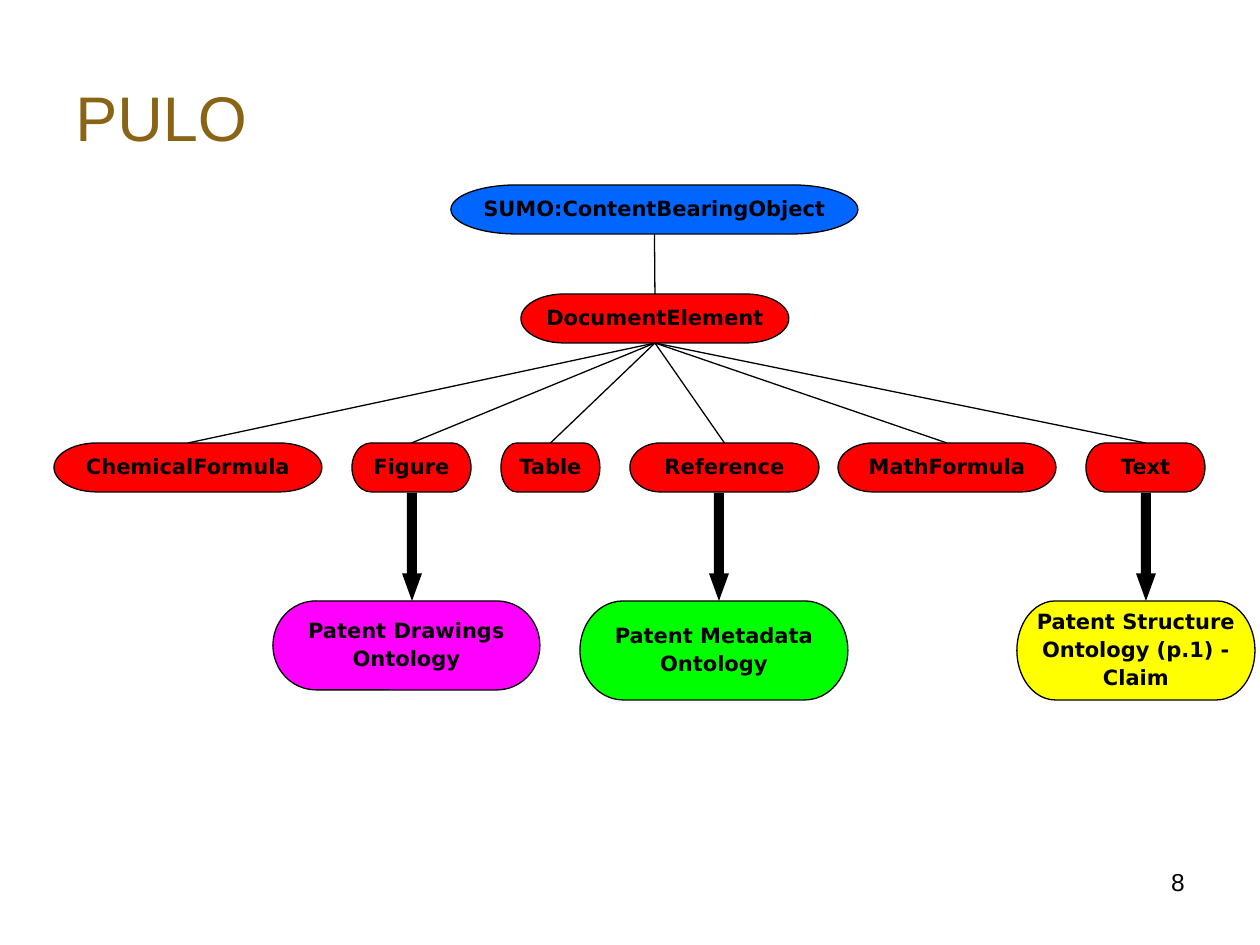
"""Build the PULO ontology slide: a class tree with links to sub-ontologies."""
from dataclasses import dataclass

from lxml import etree
from pptx import Presentation
from pptx import util as u
from pptx.dml.color import RGBColor
from pptx.enum import shapes, text
from pptx.oxml.ns import qn

PX = u.Inches(1) // 126
BLACK, RED = "000000", "FF0000"
ROW_TOP, NODE_HEIGHT = 443, 49
ARROW_TOP, ARROW_WIDTH, ARROW_HEIGHT = 493, 20, 108
ONTOLOGY_TOP = 601


@dataclass(frozen=True)
class Node:
    lines: tuple[str, ...]
    left: int
    top: int
    width: int
    height: int = NODE_HEIGHT
    fill: str = RED


def px(*lengths: int) -> list[int]:
    return [length * PX for length in lengths]


def colour(value: str) -> RGBColor:
    return RGBColor.from_string(value)


def add_run(paragraph, words: str, size: int, font: str, ink: str, bold: bool = False) -> None:
    run = paragraph.add_run()
    run.text = words
    run.font.size = u.Pt(size)
    run.font.name = font
    run.font.bold = bold
    run.font.color.rgb = colour(ink)


def add_label(slide, words: str, box: tuple[int, ...], size: int, ink: str, align, anchor) -> None:
    frame = slide.shapes.add_textbox(*px(*box)).text_frame
    frame.word_wrap = True
    frame.vertical_anchor = anchor
    frame.paragraphs[0].alignment = align
    add_run(frame.paragraphs[0], words, size, "Arial", ink)


def add_node(slide, node: Node):
    terminator = slide.shapes.add_shape(
        shapes.MSO_SHAPE.FLOWCHART_TERMINATOR,
        *px(node.left, node.top, node.width, node.height))
    terminator.shadow.inherit = False
    terminator.fill.solid()
    terminator.fill.fore_color.rgb = colour(node.fill)
    terminator.line.color.rgb = colour(BLACK)
    terminator.line.width = u.Pt(0.75)
    frame = terminator.text_frame
    frame.word_wrap = False
    frame.vertical_anchor = text.MSO_ANCHOR.MIDDLE
    for index, line in enumerate(node.lines):
        paragraph = frame.add_paragraph() if index else frame.paragraphs[0]
        paragraph.alignment = text.PP_ALIGN.CENTER
        paragraph.line_spacing = 0.9
        paragraph.space_before = u.Pt(3)
        add_run(paragraph, line, 12, "DejaVu Sans", BLACK, bold=True)
    return terminator


def add_branch(slide, parent, child) -> None:
    branch = slide.shapes.add_connector(shapes.MSO_CONNECTOR.STRAIGHT, 0, 0, 0, 0)
    branch.begin_connect(parent, 2)
    branch.end_connect(child, 0)
    branch.line.color.rgb = colour(BLACK)
    branch.line.width = u.Pt(0.75)
    etree.SubElement(branch._element.spPr, qn("a:effectLst"))


def add_arrow(slide, centre: int) -> None:
    arrow = slide.shapes.add_shape(
        shapes.MSO_SHAPE.DOWN_ARROW,
        *px(centre - ARROW_WIDTH // 2, ARROW_TOP, ARROW_WIDTH, ARROW_HEIGHT))
    arrow.adjustments[0] = 0.5
    arrow.adjustments[1] = 1.38
    arrow.shadow.inherit = False
    arrow.fill.solid()
    arrow.fill.fore_color.rgb = colour(BLACK)
    arrow.line.fill.background()


ROOT = Node(("SUMO:ContentBearingObject",), 451, 185, 407, fill="0066FF")
DOCUMENT = Node(("DocumentElement",), 521, 294, 268)
ELEMENTS = [
    Node((name,), left, ROW_TOP, width)
    for name, left, width in (
        ("ChemicalFormula", 54, 268),
        ("Figure", 352, 119),
        ("Table", 501, 99),
        ("Reference", 630, 189),
        ("MathFormula", 838, 218),
        ("Text", 1086, 119),
    )
]
ONTOLOGIES = [
    Node(("Patent Drawings", "Ontology"), 273, ONTOLOGY_TOP, 267, 89, "FF00FF"),
    Node(("Patent Metadata", "Ontology"), 580, ONTOLOGY_TOP, 268, 99, "00FF00"),
    Node(("Patent Structure", "Ontology (p.1) -", "Claim"), 1017, ONTOLOGY_TOP, 238, 99, "FFFF00"),
]
ARROW_CENTRES = (412, 719, 1146)


def main() -> None:
    deck = Presentation()
    deck.slide_width, deck.slide_height = u.Inches(10), u.Inches(7.5)
    slide = deck.slides.add_slide(deck.slide_layouts[6])
    add_label(slide, "PULO", (63, 38, 1134, 157), 36, "886414",
              text.PP_ALIGN.LEFT, text.MSO_ANCHOR.MIDDLE)

    root = add_node(slide, ROOT)
    document = add_node(slide, DOCUMENT)
    add_branch(slide, root, document)
    for element in ELEMENTS:
        add_branch(slide, document, add_node(slide, element))
    for centre in ARROW_CENTRES:
        add_arrow(slide, centre)
    for ontology in ONTOLOGIES:
        add_node(slide, ontology)

    add_label(slide, "8", (903, 861, 294, 66), 14, BLACK,
              text.PP_ALIGN.RIGHT, text.MSO_ANCHOR.TOP)
    deck.save("out.pptx")


if __name__ == "__main__":
    main()
